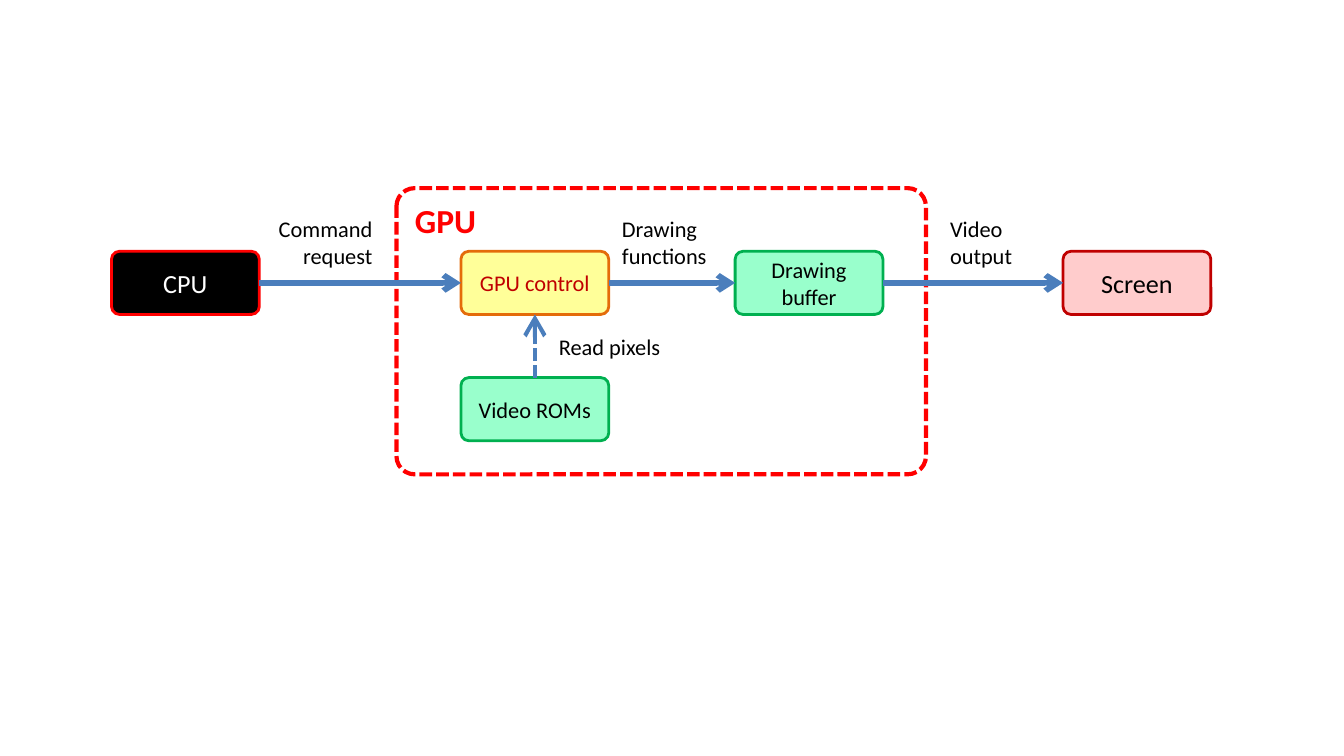
from lxml.etree import SubElement
from pptx import Presentation
from pptx.dml.color import RGBColor
from pptx.enum.dml import MSO_LINE
from pptx.enum.shapes import MSO_CONNECTOR, MSO_SHAPE
from pptx.enum.text import MSO_ANCHOR, PP_ALIGN
from pptx.oxml.ns import qn
from pptx.util import Inches, Pt

BLACK = RGBColor(0x00, 0x00, 0x00)
WHITE = RGBColor(0xFF, 0xFF, 0xFF)
RED = RGBColor(0xFF, 0x00, 0x00)
DARK_RED = RGBColor(0xC0, 0x00, 0x00)
PINK = RGBColor(0xFF, 0xCC, 0xCC)
YELLOW = RGBColor(0xFF, 0xFF, 0x99)
ORANGE = RGBColor(0xE4, 0x6C, 0x0A)
MINT = RGBColor(0x99, 0xFF, 0xCC)
GREEN = RGBColor(0x00, 0xB0, 0x50)
BLUE = RGBColor(0x4B, 0x7E, 0xBC)

FONT = "Calibri"
NODE_W, NODE_H = 1.1, 0.47
TOP, LEFT, BOTTOM, RIGHT = range(4)


def set_text(sp, text, size=12, color=BLACK, align=PP_ALIGN.LEFT, bold=False):
    """Write one formatted, wrapping paragraph into a shape."""
    tf = sp.text_frame
    tf.word_wrap = True
    p = tf.paragraphs[0]
    p.text = text
    p.alignment = align
    p.font.name = FONT
    p.font.size = Pt(size)
    p.font.bold = bold
    p.font.color.rgb = color


def add_box(slide, x, y, w, h, radius, line, weight):
    """Add an unfilled rounded rectangle with a coloured outline."""
    sp = slide.shapes.add_shape(MSO_SHAPE.ROUNDED_RECTANGLE,
                                Inches(x), Inches(y), Inches(w), Inches(h))
    sp.shadow.inherit = False
    sp.adjustments[0] = radius
    sp.fill.background()
    sp.line.color.rgb = line
    sp.line.width = Pt(weight)
    return sp


def add_node(slide, x, y, text, fill, line, color=BLACK, size=12):
    """Add one filled block of the diagram."""
    sp = add_box(slide, x, y, NODE_W, NODE_H, 0.125, line, 1.5)
    sp.fill.solid()
    sp.fill.fore_color.rgb = fill
    sp.text_frame.vertical_anchor = MSO_ANCHOR.MIDDLE
    set_text(sp, text, size, color, PP_ALIGN.CENTER)
    return sp


def add_arrow(slide, start, start_site, end, end_site,
              weight=3, dash=None, head="med"):
    """Join two blocks with an arrow glued to their connection sites."""
    cxn = slide.shapes.add_connector(MSO_CONNECTOR.STRAIGHT, 0, 0, 0, 0)
    cxn.begin_connect(start, start_site)
    cxn.end_connect(end, end_site)
    cxn.line.color.rgb = BLUE
    cxn.line.width = Pt(weight)
    if dash:
        cxn.line.dash_style = dash
    SubElement(cxn.line._get_or_add_ln(), qn("a:tailEnd"),
               type="arrow", w=head, len=head)
    SubElement(cxn._element.spPr, qn("a:effectLst"))


def add_label(slide, x, y, w, h, text, align=PP_ALIGN.LEFT):
    """Add an arrow caption."""
    sp = slide.shapes.add_textbox(Inches(x), Inches(y), Inches(w), Inches(h))
    set_text(sp, text, align=align)


def add_gpu(slide, x, y, w, h):
    """Draw the GPU region and return its entry and exit blocks."""
    node_x, node_y = x + 0.48, y + NODE_H
    control = add_node(slide, node_x, node_y, "GPU control",
                       YELLOW, ORANGE, DARK_RED)
    buffer = add_node(slide, x + 2.52, node_y, "Drawing buffer", MINT, GREEN)
    roms = add_node(slide, node_x, node_y + 2 * NODE_H, "Video ROMs",
                    MINT, GREEN)
    add_arrow(slide, control, RIGHT, buffer, LEFT)
    add_arrow(slide, roms, TOP, control, BOTTOM, 2.25, MSO_LINE.SQUARE_DOT,
              "lg")
    add_label(slide, node_x + NODE_W, y + 0.15, 1.1, 0.5, "Drawing functions")
    add_label(slide, x + 1.11, y + 1.03, 1.02, 0.3, "Read pixels")

    frame = add_box(slide, x, y, w, h, 0.064, RED, 2.25)
    frame.line.dash_style = MSO_LINE.SQUARE_DOT
    frame.text_frame.vertical_anchor = MSO_ANCHOR.TOP
    set_text(frame, "GPU", 18, RED, bold=True)
    return control, buffer


def add_diagram(slide, x, y, w):
    """Draw the flow from the CPU through the GPU to the screen."""
    node_y = y + NODE_H
    cpu = add_node(slide, x, node_y, "CPU", BLACK, RED, WHITE, 14)
    screen = add_node(slide, x + w - NODE_W, node_y, "Screen",
                      PINK, DARK_RED, size=14)
    control, buffer = add_gpu(slide, x + 2.12, y, 3.94, 2.13)
    add_arrow(slide, cpu, RIGHT, control, LEFT)
    add_arrow(slide, buffer, RIGHT, screen, LEFT)
    add_label(slide, x + 0.94, y + 0.15, 1.1, 0.5, "Command request",
              PP_ALIGN.RIGHT)
    add_label(slide, x + 6.14, y + 0.15, 0.79, 0.5, "Video output")


def main():
    """Build and save the slide."""
    prs = Presentation()
    prs.slide_width = Inches(10)
    prs.slide_height = prs.slide_width * 9 // 16
    slide = prs.slides.add_slide(prs.slide_layouts[6])
    add_diagram(slide, 0.83, 1.4, 8.18)
    prs.save("out.pptx")


if __name__ == "__main__":
    main()
